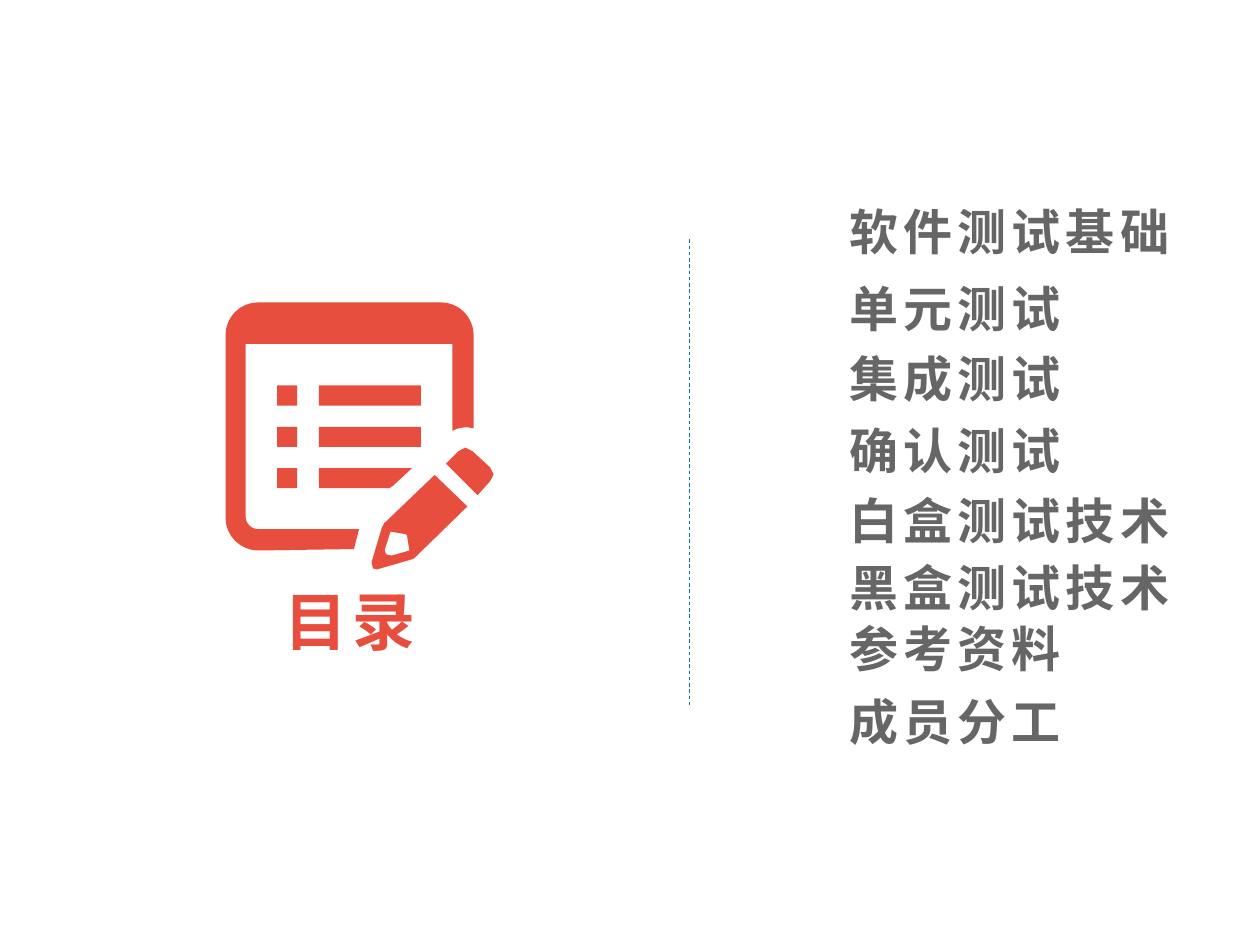
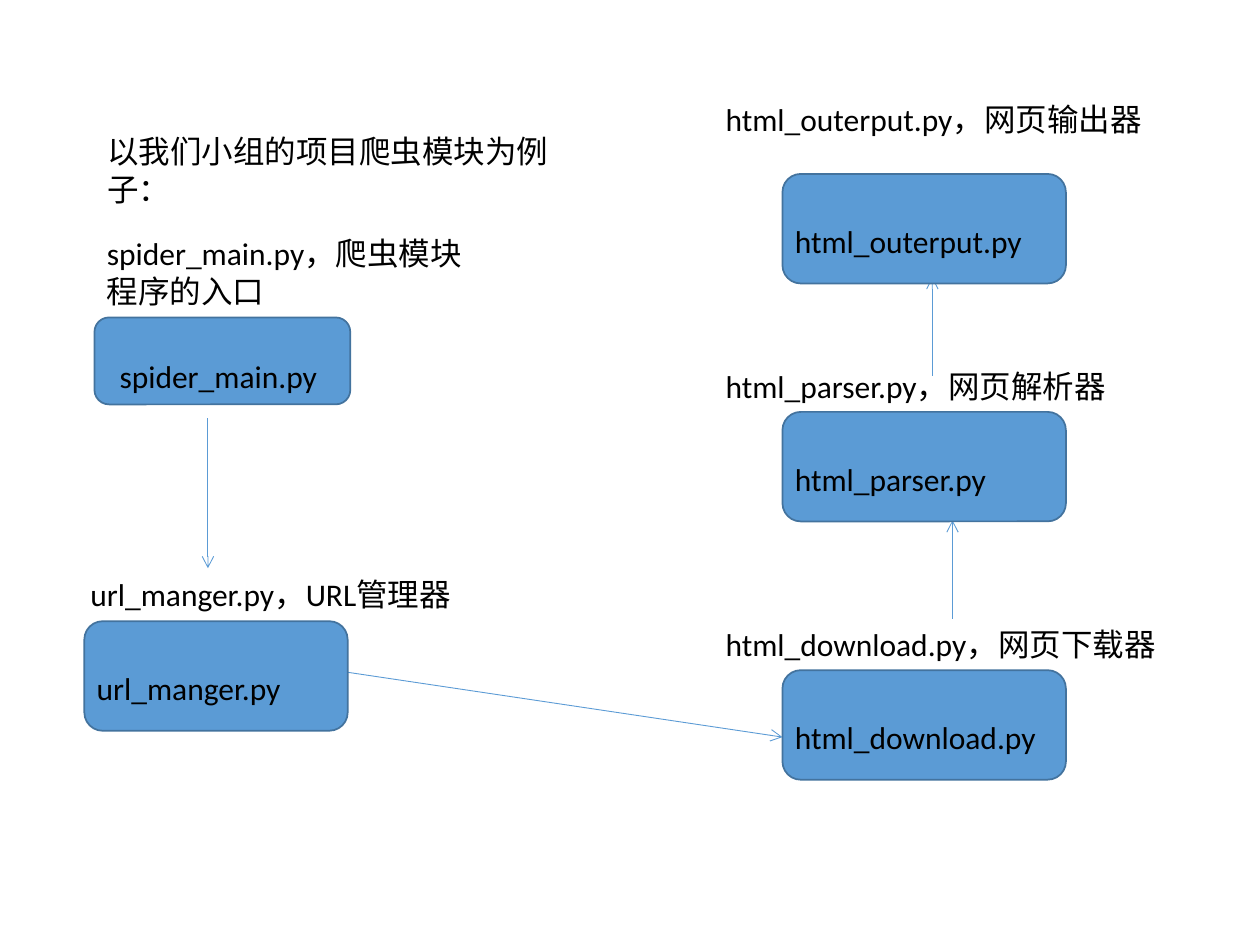
import math

import lxml.etree
import pptx
import pptx.dml.color
import pptx.enum.dml
import pptx.enum.shapes
import pptx.enum.text
import pptx.oxml.ns
import pptx.util

Pt = pptx.util.Pt
RGBColor = pptx.dml.color.RGBColor
qn = pptx.oxml.ns.qn
ALIGN = pptx.enum.text.PP_ALIGN
MSO_SHAPE = pptx.enum.shapes.MSO_SHAPE

RED = RGBColor(0xE7, 0x4E, 0x3E)
GRAY = RGBColor(0x66, 0x66, 0x66)
BLACK = RGBColor(0x00, 0x00, 0x00)
DIVIDER = RGBColor(0x01, 0x74, 0xAB)
BLUE = RGBColor(0x5B, 0x9B, 0xD5)
BLUE_EDGE = RGBColor(0x43, 0x73, 0x9E)
HEADING_FONT = "Noto Sans CJK SC"
BODY_FONT = "Calibri"

AGENDA = [
    ("软件测试基础", 0),
    ("单元测试", 10),
    ("集成测试", 6.3),
    ("确认测试", 7),
    ("白盒测试技术", 6.3),
    ("黑盒测试技术", 4.2),
    ("参考资料", 0.6),
    ("成员分工", 7.8),
]


def place(sp, box):
    sp.left, sp.top, sp.width, sp.height = (Pt(v) for v in box)


def write(p, text, size=18, font=BODY_FONT, color=BLACK, bold=False,
          spacing=0, align=ALIGN.LEFT, line=None, before=0):
    p.alignment = align
    p.space_before = Pt(before)
    if line:
        p.line_spacing = Pt(line)
    r = p.add_run()
    r.text = text
    r.font.size = Pt(size)
    r.font.name = font
    r.font.bold = bold
    r.font.color.rgb = color
    rPr = r.font._element
    lxml.etree.SubElement(rPr, qn("a:ea")).set("typeface", font)
    if spacing:
        rPr.set("spc", str(spacing * 100))


def prepare(sp, box):
    place(sp, box)
    tf = sp.text_frame
    tf.word_wrap = True
    tf.auto_size = pptx.enum.text.MSO_AUTO_SIZE.NONE
    tf.vertical_anchor = pptx.enum.text.MSO_ANCHOR.TOP
    return tf


def label(s, text, box):
    sp = s.shapes.add_textbox(0, 0, 0, 0)
    write(prepare(sp, box).paragraphs[0], text)


def connector(s, start, end, color, dashed=False, arrow=False):
    c = s.shapes.add_connector(pptx.enum.shapes.MSO_CONNECTOR.STRAIGHT,
                               *(Pt(v) for v in start + end))
    c.line.color.rgb = color
    c.line.width = Pt(0.5)
    if dashed:
        c.line.dash_style = pptx.enum.dml.MSO_LINE.DASH
    if arrow:
        ln = c.line._get_or_add_ln()
        lxml.etree.SubElement(ln, qn("a:tailEnd")).set("type", "arrow")
    lxml.etree.SubElement(c._element.spPr, qn("a:effectLst"))


def paint(sp, fill, edge=None):
    sp.shadow.inherit = False
    sp.fill.solid()
    sp.fill.fore_color.rgb = fill
    if edge:
        sp.line.color.rgb = edge
        sp.line.width = Pt(1)
    else:
        sp.line.fill.background()


def arc(cx, cy, radius, start, end, steps=8):
    angles = [math.radians(start + (end - start) * i / steps) for i in range(steps + 1)]
    return [(cx + radius * math.cos(a), cy + radius * math.sin(a)) for a in angles]


def outline(shapes, origin, *contours):
    scaled = [[(x * 100, y * 100) for x, y in points] for points in contours]
    fb = shapes.build_freeform(*scaled[0][0], scale=Pt(1) / 100)
    for i, points in enumerate(scaled):
        if i:
            fb.move_to(*points[0])
        fb.add_line_segments(points[1:], close=True)
    paint(fb.convert_to_shape(Pt(origin[0]), Pt(origin[1])), RED)


def notepad_icon(s, origin):
    x, y = origin
    shapes = s.shapes.add_group_shape().shapes
    side, radius = 141.8, 18.7
    far = side - radius
    card = ([(76.3, 129.6), (73.4, 141)]
            + arc(radius, far, radius, 90, 180)
            + arc(radius, radius, radius, 180, 270)
            + arc(far, radius, radius, 270, 360)
            + [(side, 72), (137.5, 71.3), (133, 72), (129.6, 73.4),
               (129.6, 23.8), (11.5, 23.8)]
            + arc(18.7, 122.4, 7.2, 180, 90))
    pencil = [(119.5, 98.6), (138.2, 116.6), (109.4, 144.7), (107.3, 146.6),
              (86.5, 152.6), (84.2, 152), (83.5, 148.3), (89.3, 128.9), (90.7, 126.2)]
    tip = [(94.3, 131), (90.9, 141.5), (91.8, 144), (95, 144.7),
           (105.1, 141.8), (103.7, 133.2), (103, 132.5)]
    eraser = [(126, 92.2), (133.2, 85), (137, 83), (141.1, 85),
              (151.2, 94.3), (153.2, 98.3), (151.2, 102.2), (144, 110.2)]
    bullet_x, bar_x, top, pitch, height = 29.5, 53.3, 47.5, 23.6, 11.5
    last = top + 2 * pitch
    cut_bar = [(bar_x, last), (106.6, last), (95.8, last + 10),
               (93.6, last + height), (bar_x, last + height)]
    outline(shapes, origin, card)
    outline(shapes, origin, pencil, tip)
    outline(shapes, origin, eraser)
    outline(shapes, origin, cut_bar)
    for row in range(3):
        parts = [(bullet_x, height)] + ([(bar_x, 58.3)] if row < 2 else [])
        for left, width in parts:
            sp = shapes.add_shape(MSO_SHAPE.RECTANGLE, 0, 0, 0, 0)
            place(sp, (x + left, y + top + row * pitch, width, height))
            paint(sp, RED)


def agenda_list(sp, box):
    tf = prepare(sp, box)
    tf.margin_top = 0
    for i, (text, gap) in enumerate(AGENDA):
        p = tf.add_paragraph() if i else tf.paragraphs[0]
        write(p, text, size=28, font=HEADING_FONT, color=GRAY, bold=True,
              spacing=3, line=34, before=gap)
        pPr = p._p.get_or_add_pPr()
        pPr.set("marL", "0")
        pPr.set("indent", "0")
        lxml.etree.SubElement(pPr, qn("a:buNone"))


def agenda_slide(prs):
    s = prs.slides.add_slide(prs.slide_layouts[1])
    connector(s, (393.8, 136.8), (393.8, 403.2), DIVIDER, dashed=True)
    notepad_icon(s, (128.9, 172.8))
    title = prepare(s.shapes.title, (100.8, 326.2, 198.7, 51.1))
    write(title.paragraphs[0], "目录", size=36, font=HEADING_FONT, color=RED,
          bold=True, spacing=3, align=ALIGN.CENTER, line=46)
    agenda_list(s.placeholders[1], (478.1, 114.6, 225, 325))


def module(s, box, name, role, name_offset=(0, 24), role_offset=(-39.6, -29.4),
           role_size=(273, 29)):
    x, y, w, h = box
    sp = s.shapes.add_shape(MSO_SHAPE.ROUNDED_RECTANGLE, 0, 0, 0, 0)
    place(sp, box)
    paint(sp, BLUE, BLUE_EDGE)
    label(s, name + "，" + role, (x + role_offset[0], y + role_offset[1], *role_size))
    label(s, name, (x + name_offset[0], y + name_offset[1], w + 7, 29))


def crawler_slide(prs):
    s = prs.slides.add_slide(prs.slide_layouts[5])
    title = prepare(s.shapes.title, (54, 72, 270, 51))
    write(title.paragraphs[0], "以我们小组的项目爬虫模块为例子：")

    for start, end in [((118.8, 239), (118.8, 324.7)),
                       ((190.8, 383), (447.1, 421.2)),
                       ((544.3, 353.5), (544.3, 297.4)),
                       ((532.8, 214.6), (532.8, 158.4))]:
        connector(s, start, end, BLUE, arrow=True)

    module(s, (54, 181.4, 146.2, 49.7), "spider_main.py", "爬虫模块程序的入口",
           name_offset=(7.2, 18.8), role_offset=(0, -51), role_size=(233.3, 51))
    module(s, (48.2, 355, 150.5, 62.6), "url_manger.py", "URL管理器",
           role_offset=(-3.6, -30.2), role_size=(252, 29))
    for top, name, role, rise in [(99.4, "html_outerput.py", "网页输出器", 46),
                                  (235.4, "html_parser.py", "网页解析器", 29.4),
                                  (383, "html_download.py", "网页下载器", 29.4)]:
        module(s, (447.1, top, 162, 62.6), name, role, role_offset=(-39.6, -rise))


def main():
    prs = pptx.Presentation()
    prs.slide_width, prs.slide_height = Pt(720), Pt(540)
    agenda_slide(prs)
    crawler_slide(prs)
    prs.save("out.pptx")


if __name__ == "__main__":
    main()
